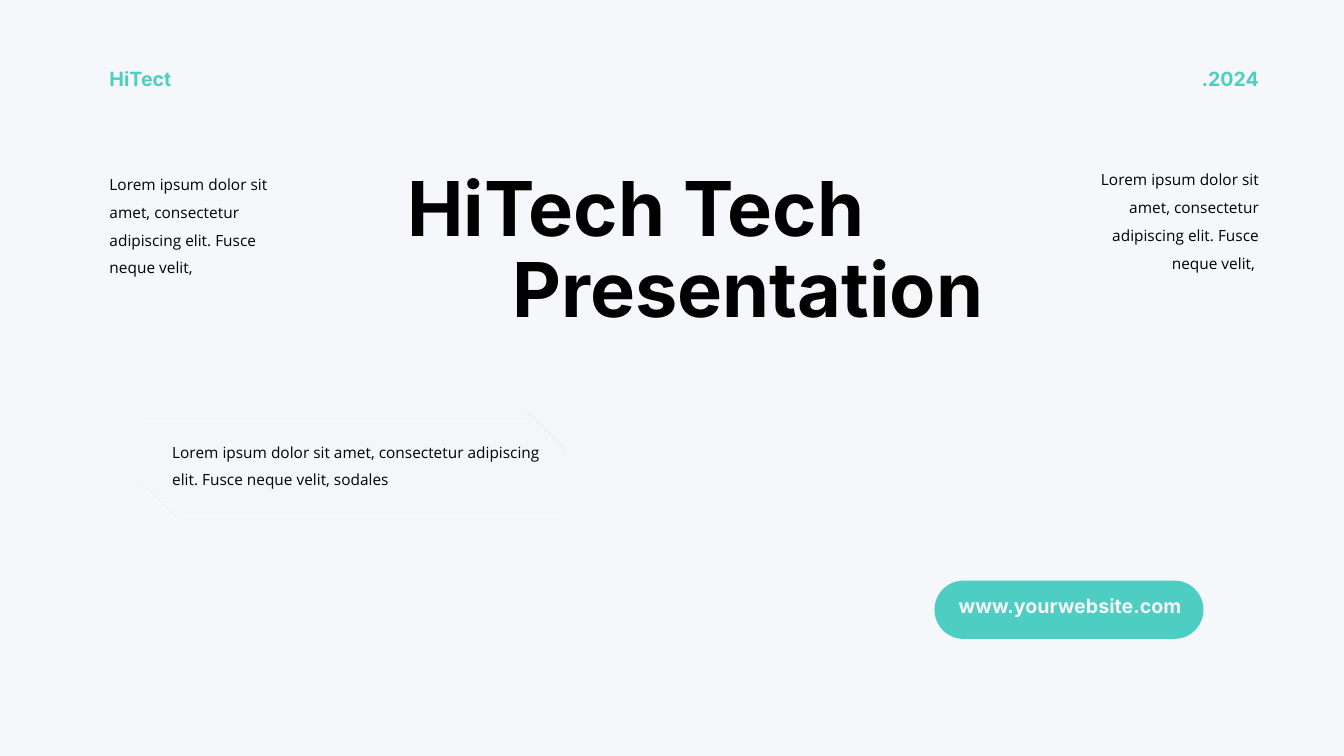
from lxml import etree
from pptx import Presentation
from pptx.dml.color import RGBColor
from pptx.enum.shapes import MSO_SHAPE
from pptx.enum.text import MSO_ANCHOR, MSO_AUTO_SIZE, PP_ALIGN
from pptx.oxml.ns import qn
from pptx.util import Cm, Pt

LEFT, CENTER, RIGHT = PP_ALIGN.LEFT, PP_ALIGN.CENTER, PP_ALIGN.RIGHT
TOP = MSO_ANCHOR.TOP
GROW = MSO_AUTO_SIZE.SHAPE_TO_FIT_TEXT
PILL, SNIPPED = MSO_SHAPE.ROUNDED_RECTANGLE, MSO_SHAPE.SNIP_2_DIAG_RECTANGLE
TITLE_ONLY = 5

COLORS = {"background": "F5F7FA", "accent": "4ECDC3", "text": "000000"}
# Font name, size, bold, colour, line spacing
STYLES = {
    "title": ("Inter", 54, True, "text", 1.0),
    "label": ("Inter", 14, True, "accent", 1.0),
    "button": ("Inter", 14, True, "background", 1.0),
    "body": ("Open Sans", 11, False, "text", 1.5),
}


def color(name):
    return RGBColor.from_string(COLORS[name])


class CoverSlide:
    def __init__(self, presentation):
        self.slide = presentation.slides.add_slide(presentation.slide_layouts[TITLE_ONLY])
        background = self.slide.background.fill
        background.solid()
        background.fore_color.rgb = color("background")

    def fill_text(self, shape, text, style, align):
        font_name, size, bold, color_name, line_spacing = STYLES[style]
        frame = shape.text_frame
        frame.word_wrap = True
        frame.auto_size = GROW
        frame.vertical_anchor = TOP
        paragraph = frame.paragraphs[0]
        paragraph.alignment = align
        paragraph.line_spacing = line_spacing
        run = paragraph.add_run()
        run.text = text
        run.font.name = font_name
        run.font.size = Pt(size)
        run.font.bold = bold
        run.font.color.rgb = color(color_name)

    def title(self, text, left, top, width, height):
        shape = self.slide.shapes.title
        shape.left, shape.top = Cm(left), Cm(top)
        shape.width, shape.height = Cm(width), Cm(height)
        self.fill_text(shape, text, "title", LEFT)

    def text(self, text, style, left, top, width, height, align=LEFT):
        box = self.slide.shapes.add_textbox(Cm(left), Cm(top), Cm(width), Cm(height))
        self.fill_text(box, text, style, align)

    def shape(self, kind, adjustments, left, top, width, height):
        shape = self.slide.shapes.add_shape(kind, Cm(left), Cm(top), Cm(width), Cm(height))
        shape.shadow.inherit = False
        shape.line.fill.background()
        for index, value in enumerate(adjustments):
            shape.adjustments[index] = value
        return shape

    def button(self, left, top, width, height):
        shape = self.shape(PILL, [0.5], left, top, width, height)
        shape.fill.solid()
        shape.fill.fore_color.rgb = color("accent")

    def glass_panel(self, left, top, width, height, stops):
        """Add a snipped panel; stops are (position, opacity) pairs in percent."""
        shape = self.shape(SNIPPED, [0, 0.36], left, top, width, height)
        shape.fill.gradient()
        shape.fill.gradient_angle = 270
        stop_list = shape.element.spPr.find(qn("a:gradFill")).find(qn("a:gsLst"))
        for stop in list(stop_list):
            stop_list.remove(stop)
        for position, opacity in stops:
            stop = etree.SubElement(stop_list, qn("a:gs"), pos=str(position * 1000))
            tint = etree.SubElement(stop, qn("a:srgbClr"), val=COLORS["background"])
            etree.SubElement(tint, qn("a:alpha"), val=str(opacity * 1000))


def main():
    presentation = Presentation()
    presentation.slide_width, presentation.slide_height = Cm(33.87), Cm(19.05)
    cover = CoverSlide(presentation)
    lorem = "Lorem ipsum dolor sit amet, consectetur adipiscing elit. Fusce neque velit,"

    cover.glass_panel(3.51, 10.31, 10.72, 2.79, [(0, 60), (55, 94), (99, 50)])
    cover.title("HiTech Tech", 10.01, 3.94, 14.43, 2.57)
    cover.text("Presentation", "title", 12.67, 5.97, 14.43, 2.57)

    cover.text(lorem + " sodales", "body", 4.09, 10.8, 10.13, 1.6)
    cover.text(lorem, "body", 2.51, 4.06, 4.85, 3)
    cover.text(lorem + " ", "body", 27.13, 3.94, 4.85, 3, RIGHT)

    cover.text("HiTect", "label", 2.51, 1.55, 3.28, 0.86)
    cover.text(".2024", "label", 28.7, 1.55, 3.28, 0.86, RIGHT)

    cover.button(23.55, 14.63, 6.78, 1.47)
    cover.text("www.yourwebsite.com", "button", 23.16, 14.83, 7.62, 0.86, CENTER)
    presentation.save("out.pptx")


if __name__ == "__main__":
    main()
